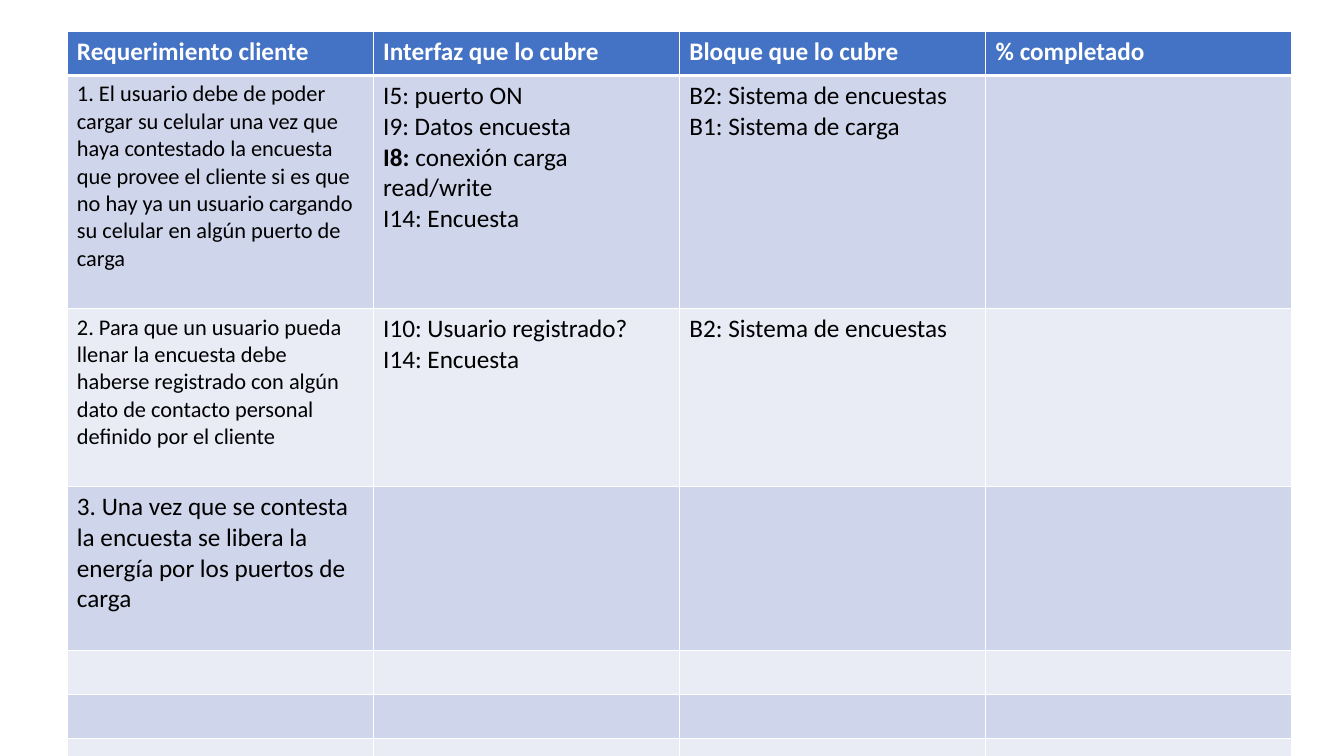
"""Build a slide with the table that traces client requirements to interfaces and blocks."""
from dataclasses import dataclass

from lxml import etree
from pptx import Presentation
from pptx.dml.color import RGBColor
from pptx.oxml.ns import qn
from pptx.table import _Cell
from pptx.util import Pt


@dataclass(frozen=True)
class Theme:
    """Colours and type sizes of the slide."""
    font: str = "Calibri"
    text: str = "000000"
    white: str = "FFFFFF"
    header: str = "4472C4"
    bands: tuple[str, str] = ("CFD5EA", "E9EBF5")
    normal: float = 18
    small: float = 16
    rule: float = 1
    header_rule: float = 3


@dataclass(frozen=True)
class Line:
    """One paragraph, with an optional bold lead."""
    text: str
    lead: str = ""


@dataclass(frozen=True)
class Row:
    """One table row: its height, its cells and the size of its first cell."""
    height: float
    cells: tuple[tuple[Line, ...], ...] = ()
    first_size: float = Theme.normal


THEME = Theme()
LEFT, TOP, COL_WIDTH, ROW_HEIGHT = 47.8, 22.5, 218.75, 31.5
COLUMNS = 4
EMPTY_ROWS = 4

HEADINGS = ("Requerimiento cliente", "Interfaz que lo cubre", "Bloque que lo cubre", "% completado")
ROWS = [
    Row(ROW_HEIGHT, tuple((Line(h),) for h in HEADINGS)),
    Row(166.5, (
        (Line("1. El usuario debe de poder cargar su celular una vez que haya contestado "
              "la encuesta que provee el cliente si es que no hay ya un usuario cargando "
              "su celular en algún puerto de carga"),),
        (Line("I5: puerto ON"), Line("I9: Datos encuesta"),
         Line(" conexión carga read/write", lead="I8:"), Line("I14: Encuesta")),
        (Line("B2: Sistema de encuestas"), Line("B1: Sistema de carga")),
    ), THEME.small),
    Row(127, (
        (Line("2. Para que un usuario pueda llenar la encuesta debe haberse registrado con "
              "algún dato de contacto personal definido por el cliente"),),
        (Line("I10: Usuario registrado?"), Line("I14: Encuesta")),
        (Line("B2: Sistema de encuestas"),),
    ), THEME.small),
    Row(117, (
        (Line("3. Una vez que se contesta la encuesta se libera la energía por los puertos "
              "de carga"),),
    )),
] + [Row(ROW_HEIGHT)] * EMPTY_ROWS


def set_borders(cell: _Cell, widths: dict[str, float]) -> None:
    """Draw a solid white border of the given width on each side."""
    tc_pr = cell._tc.get_or_add_tcPr()
    for side, width in widths.items():
        ln = etree.SubElement(tc_pr, qn(f"a:{side}"), w=str(Pt(width)))
        fill = etree.SubElement(ln, qn("a:solidFill"))
        etree.SubElement(fill, qn("a:srgbClr"), val=THEME.white)


def write_lines(cell: _Cell, lines: tuple[Line, ...], size: float, color: str, bold: bool) -> None:
    """Write one paragraph for each line."""
    tf = cell.text_frame
    for i, line in enumerate(lines):
        p = tf.paragraphs[0] if i == 0 else tf.add_paragraph()
        for text, is_bold in ((line.lead, True), (line.text, bold)):
            if text:
                r = p.add_run()
                r.text = text
                for name, value in {"name": THEME.font, "size": Pt(size), "bold": is_bold}.items():
                    setattr(r.font, name, value)
                r.font.color.rgb = RGBColor.from_string(color)


def main() -> None:
    """Create the presentation and save it."""
    prs = Presentation()
    prs.slide_width, prs.slide_height = Pt(960), Pt(540)
    s = prs.slides.add_slide(prs.slide_layouts[6])
    height = sum(row.height for row in ROWS)
    table = s.shapes.add_table(len(ROWS), COLUMNS, Pt(LEFT), Pt(TOP),
                               Pt(COL_WIDTH * COLUMNS), Pt(height)).table
    for column in table.columns:
        column.width = Pt(COL_WIDTH)
    for i, row in enumerate(ROWS):
        table.rows[i].height = Pt(row.height)
        is_header = i == 0
        fill = THEME.header if is_header else THEME.bands[(i - 1) % 2]
        color = THEME.white if is_header else THEME.text
        borders = {"lnL": THEME.rule, "lnR": THEME.rule,
                   "lnT": THEME.header_rule if i == 1 else THEME.rule,
                   "lnB": THEME.header_rule if is_header else THEME.rule}
        for j in range(COLUMNS):
            cell = table.cell(i, j)
            set_borders(cell, borders)
            cell.fill.solid()
            cell.fill.fore_color.rgb = RGBColor.from_string(fill)
            if j < len(row.cells):
                size = row.first_size if j == 0 else THEME.normal
                write_lines(cell, row.cells[j], size, color, is_header)
    prs.save("out.pptx")


if __name__ == "__main__":
    main()
